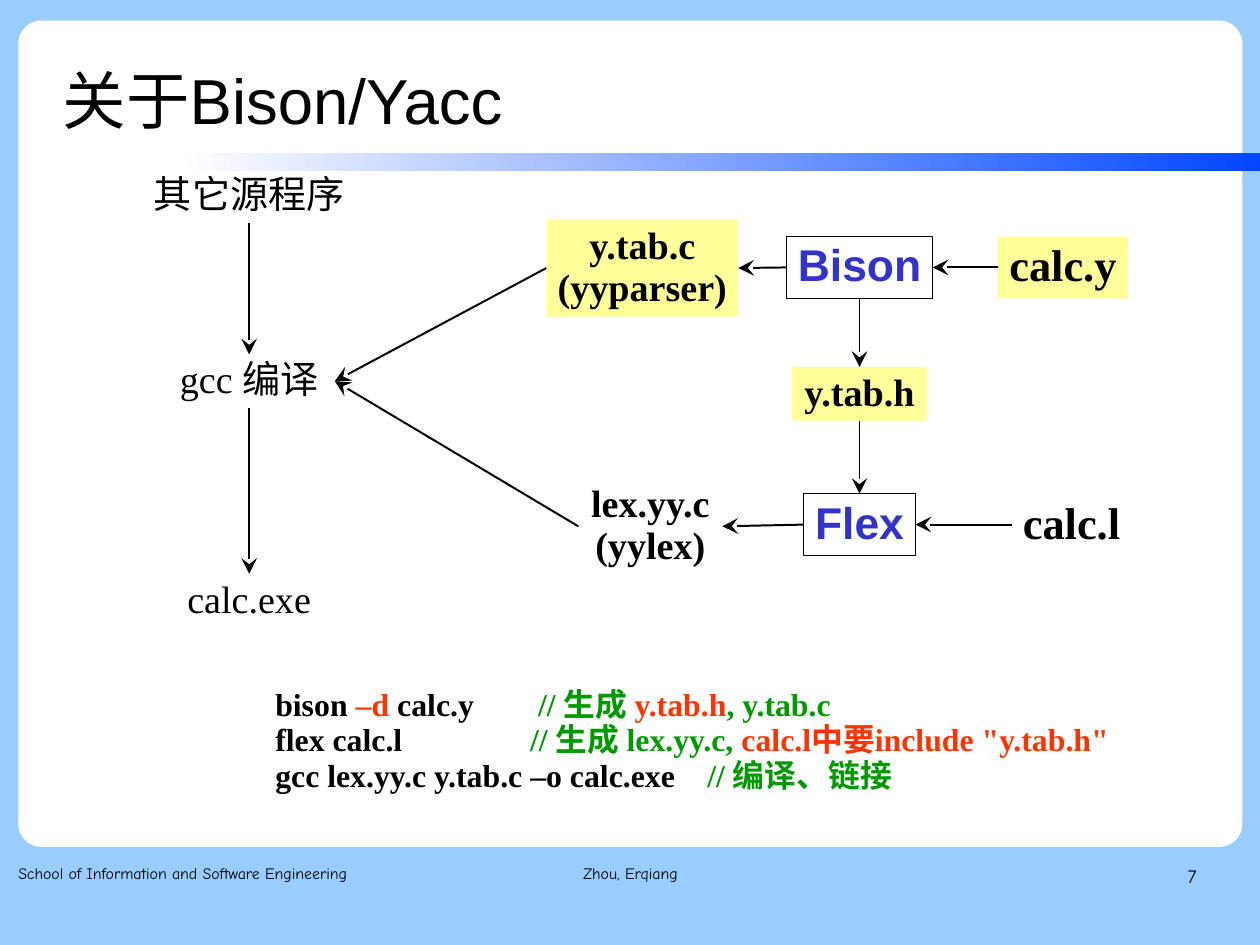
from lxml import etree
from pptx import Presentation
from pptx.dml.color import RGBColor
from pptx.enum.shapes import MSO_CONNECTOR as Connector, MSO_SHAPE as Shape
from pptx.enum.text import MSO_ANCHOR as Anchor, MSO_AUTO_SIZE as AutoSize, PP_ALIGN as Align
from pptx.oxml.ns import qn
from pptx.util import Cm, Inches, Pt

BLACK, WHITE, SKY, YELLOW = "000000", "FFFFFF", "99CCFF", "FFFF99"
BLUE, RED, GREEN, BAR_END = "3333CC", "FF3300", "009900", "0047FF"
SERIF, SANS, HAND = "Times New Roman", "Arial", "Comic Neue"
TOP, LEFT, BOTTOM, RIGHT = range(4)

# text, box, font, size, alignment, anchor, line spacing
LABELS = [
    ("关于Bison/Yacc", (0.55, 0.33, 8.58, 1.01), SANS, 40, Align.LEFT, Anchor.MIDDLE, 1.1),
    ("School of Information and Software Engineering", (0.16, 7.53, 3.38, 0.57),
     HAND, 10, Align.LEFT, Anchor.TOP, 1.16),
    ("Zhou, Erqiang", (3.77, 7.53, 3.49, 0.57), HAND, 10, Align.CENTER, Anchor.TOP, 1.16),
    ("7", (7.9, 7.53, 2.57, 0.57), HAND, 12, Align.RIGHT, Anchor.TOP, 1.16),
]

# style: font, size, bold, text colour, fill, outline
STEP = (SERIF, 24, False, BLACK, None, None)
CODE = (SERIF, 24, True, BLACK, None, None)
CODE_MARKED = (SERIF, 24, True, BLACK, YELLOW, None)
INPUT = (SERIF, 28, True, BLACK, None, None)
INPUT_MARKED = (SERIF, 28, True, BLACK, YELLOW, None)
TOOL = (SANS, 28, True, BLUE, None, BLACK)

# name: text lines, box, style
NODES = {
    "parser": (["y.tab.c", "(yyparser)"], (4.78, 1.92, 1.68, 0.85), CODE_MARKED),
    "lexer": (["lex.yy.c", "(yylex)"], (5.06, 4.18, 1.26, 0.85), CODE),
    "sources": (["其它源程序"], (1.24, 1.48, 1.88, 0.47), STEP),
    "gcc": (["gcc 编译"], (1.43, 3.1, 1.5, 0.47), STEP),
    "program": (["calc.exe"], (1.54, 5.02, 1.28, 0.47), STEP),
    "bison": (["Bison"], (6.88, 2.07, 1.28, 0.54), TOOL),
    "flex": (["Flex"], (7.03, 4.32, 0.98, 0.54), TOOL),
    "grammar": (["calc.y"], (8.73, 2.07, 1.14, 0.54), INPUT_MARKED),
    "rules": (["calc.l"], (8.85, 4.32, 1.05, 0.54), INPUT),
    "header": (["y.tab.h"], (6.93, 3.21, 1.18, 0.47), CODE_MARKED),
}

ARROWS = [
    ("grammar", LEFT, "bison", RIGHT), ("rules", LEFT, "flex", RIGHT),
    ("bison", BOTTOM, "header", TOP), ("header", BOTTOM, "flex", TOP),
    ("bison", LEFT, "parser", RIGHT), ("flex", LEFT, "lexer", RIGHT),
    ("parser", LEFT, "gcc", RIGHT), ("lexer", LEFT, "gcc", RIGHT),
    ("sources", BOTTOM, "gcc", TOP), ("gcc", BOTTOM, "program", TOP),
]

# tab stop of the comment, then (text, colour) runs
COMMANDS_BOX = (2.31, 5.97, 7.79, 1.03)
COMMANDS = [
    (2.3, [("bison", BLACK), (" –d", RED), (" calc.y\t", BLACK),
           ("// 生成 ", GREEN), ("y.tab.h", RED), (", y.tab.c", GREEN)]),
    (2.23, [("flex calc.l\t", BLACK), ("// 生成 lex.yy.c, ", GREEN),
            ("calc.l中要include \"y.tab.h\"", RED)]),
    (3.78, [("gcc lex.yy.c y.tab.c –o calc.exe\t", BLACK), ("// 编译、链接", GREEN)]),
]


def rgb(color):
    return RGBColor.from_string(color)


def inches(box):
    return [Inches(length) for length in box]


def add_box(kind, box, fill=None, outline=None):
    shape = slide.shapes.add_shape(kind, *inches(box))
    shape.shadow.inherit = False
    if fill:
        shape.fill.solid()
        shape.fill.fore_color.rgb = rgb(fill)
    else:
        shape.fill.background()
    if outline:
        shape.line.color.rgb = rgb(outline)
        shape.line.width = Pt(0.75)
    else:
        shape.line.fill.background()
    return shape


def set_frame(shape, margins, anchor=Anchor.TOP, hug=False):
    """Set insets and anchor; hug makes the box follow its unwrapped text."""
    frame = shape.text_frame
    frame.margin_left = frame.margin_right = Inches(margins[0])
    frame.margin_top = frame.margin_bottom = Inches(margins[1])
    frame.vertical_anchor = anchor
    frame.word_wrap = not hug
    frame.auto_size = AutoSize.SHAPE_TO_FIT_TEXT if hug else AutoSize.NONE
    return frame


def write_lines(frame, lines, font, size, bold, align, spacing):
    """Write one paragraph for each list of (text, colour) runs."""
    for index, runs in enumerate(lines):
        paragraph = frame.add_paragraph() if index else frame.paragraphs[0]
        paragraph.alignment = align
        paragraph.line_spacing = spacing
        for text, color in runs:
            run = paragraph.add_run()
            run.text = text
            run.font.name = font
            run.font.size = Pt(size)
            run.font.bold = bold
            run.font.color.rgb = rgb(color)


def add_node(lines, box, style):
    font, size, bold, color, fill, outline = style
    if fill or outline:
        shape = add_box(Shape.RECTANGLE, box, fill, outline)
    else:
        shape = slide.shapes.add_textbox(*inches(box))
    frame = set_frame(shape, (0.1, 0.05), hug=True)
    write_lines(frame, [[(line, color)] for line in lines], font, size, bold, Align.CENTER, 0.93)
    return shape


def add_arrow(start, start_side, end, end_side):
    arrow = slide.shapes.add_connector(Connector.STRAIGHT, 0, 0, 0, 0)
    arrow.begin_connect(start, start_side)
    arrow.end_connect(end, end_side)
    arrow.line.color.rgb = rgb(BLACK)
    arrow.line.width = Pt(1.25)
    line = arrow.line._get_or_add_ln()
    etree.SubElement(line, qn("a:tailEnd"), type="stealth", w="lg", len="lg")
    etree.SubElement(arrow._element.spPr, qn("a:effectLst"))


def add_tab_stop(paragraph, position):
    tabs = etree.SubElement(paragraph._p.get_or_add_pPr(), qn("a:tabLst"))
    etree.SubElement(tabs, qn("a:tab"), pos=str(Inches(position)), algn="l")


presentation = Presentation()
presentation.slide_width, presentation.slide_height = Cm(28), Cm(21)
slide = presentation.slides.add_slide(presentation.slide_layouts[6])
slide.background.fill.solid()
slide.background.fill.fore_color.rgb = rgb(SKY)

panel = add_box(Shape.ROUNDED_RECTANGLE, (0.16, 0.18, 10.71, 7.23), WHITE)
panel.adjustments[0] = 0.028
title_bar = add_box(Shape.RECTANGLE, (1.57, 1.34, 9.45, 0.16))
title_bar.fill.gradient()
title_bar.fill.gradient_angle = 0
for stop, color in zip(title_bar.fill.gradient_stops, (WHITE, BAR_END)):
    stop.color.rgb = rgb(color)

for text, box, font, size, align, anchor, spacing in LABELS:
    frame = set_frame(slide.shapes.add_textbox(*inches(box)), (0, 0), anchor)
    write_lines(frame, [[(text, BLACK)]], font, size, False, align, spacing)

nodes = {name: add_node(*node) for name, node in NODES.items()}
for start, start_side, end, end_side in ARROWS:
    add_arrow(nodes[start], start_side, nodes[end], end_side)

commands = set_frame(slide.shapes.add_textbox(*inches(COMMANDS_BOX)), (0.1, 0.05), hug=True)
write_lines(commands, [runs for _, runs in COMMANDS], SERIF, 20, True, Align.LEFT, 0.93)
for paragraph, (position, _) in zip(commands.paragraphs, COMMANDS):
    add_tab_stop(paragraph, position)

presentation.save("out.pptx")
